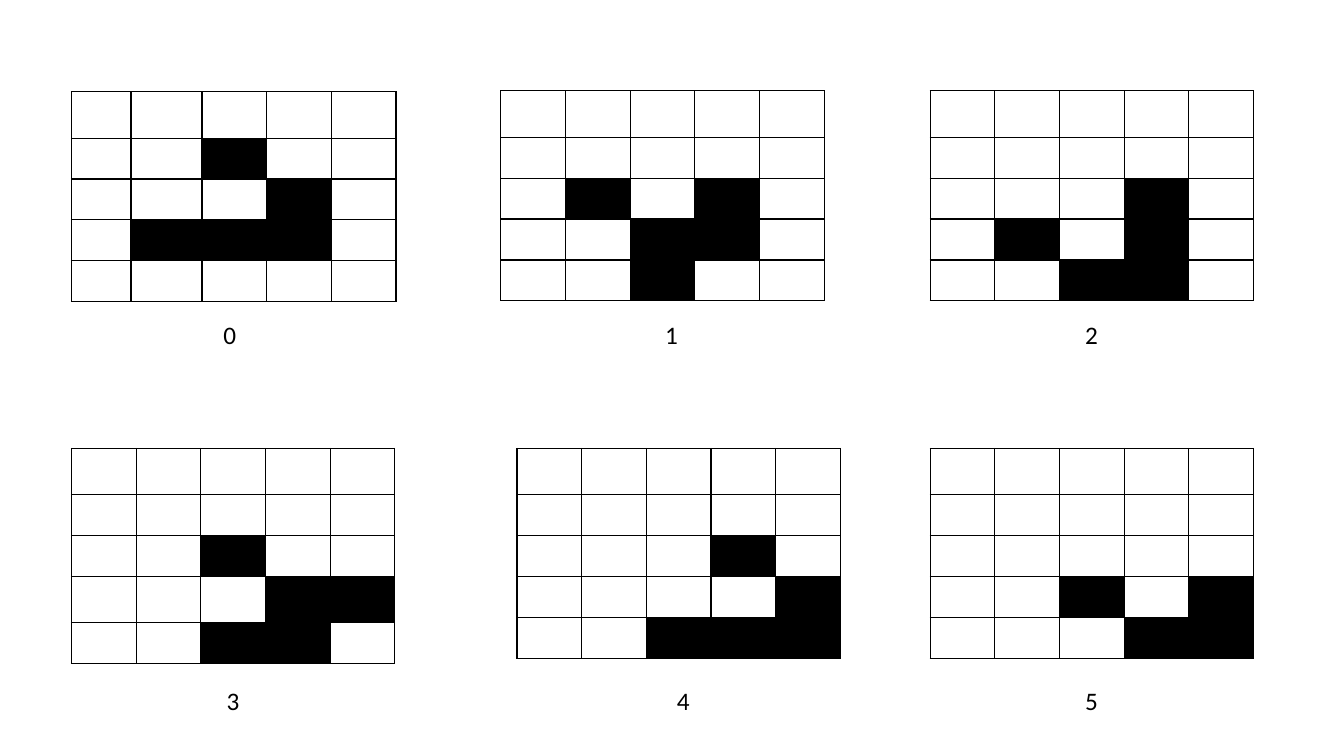
from lxml import etree
from pptx import Presentation
from pptx.dml.color import RGBColor
from pptx.enum import text
from pptx.oxml import ns
from pptx.util import Cm, Pt

BLACK, WHITE = "000000", "FFFFFF"
EVEN_COLUMNS = [1.63] * 5
EVEN_ROWS = [1.17] + [1.03] * 4


def paint(fill, color):
    fill.solid()
    fill.fore_color.rgb = RGBColor.from_string(color)


def add_borders(cell):
    """Give the cell 1 pt black borders; call before filling, as XML order matters."""
    properties = cell._tc.get_or_add_tcPr()
    for side in ("lnL", "lnR", "lnT", "lnB"):
        line = etree.SubElement(properties, ns.qn(f"a:{side}"), w=str(Pt(1)))
        solid = etree.SubElement(line, ns.qn("a:solidFill"))
        etree.SubElement(solid, ns.qn("a:srgbClr"), val=BLACK)


# Each generation: grid left and top, label left and top, column widths,
# row heights (all in cm), and the cells, where # is alive
generations = [
    (1.8, 2.31, 5.38, 7.92, [1.5, 1.79, 1.63, 1.63, 1.63], EVEN_ROWS,
     ".....  ..#..  ...#.  .###.  ....."),
    (12.62, 2.29, 16.51, 7.92, EVEN_COLUMNS, EVEN_ROWS,
     ".....  .....  .#.#.  ..##.  ..#.."),
    (23.44, 2.29, 27.1, 7.92, EVEN_COLUMNS, EVEN_ROWS,
     ".....  .....  ...#.  .#.#.  ..##."),
    (1.8, 11.3, 5.46, 17.15, EVEN_COLUMNS, [1.17, 1.03, 1.03, 1.15, 1.03],
     ".....  .....  ..#..  ...##  ..##."),
    (13.03, 11.3, 16.81, 17.15, EVEN_COLUMNS, EVEN_ROWS,
     ".....  .....  ...#.  ....#  ..###"),
    (23.44, 11.3, 27.1, 17.15, EVEN_COLUMNS, EVEN_ROWS,
     ".....  .....  .....  ..#.#  ...##"),
]

presentation = Presentation()
presentation.slide_width = Cm(33.87)
presentation.slide_height = Cm(19.05)
slide = presentation.slides.add_slide(presentation.slide_layouts[6])

for number, generation in enumerate(generations):
    left, top, label_left, label_top, widths, heights, cells = generation

    table = slide.shapes.add_table(
        len(heights), len(widths), Cm(left), Cm(top),
        Cm(sum(widths)), Cm(sum(heights))).table
    table.first_row = False
    table.horz_banding = False
    for column, width in zip(table.columns, widths):
        column.width = Cm(width)
    for row, height, states in zip(table.rows, heights, cells.split()):
        row.height = Cm(height)
        for cell, state in zip(row.cells, states):
            add_borders(cell)
            paint(cell.fill, BLACK if state == "#" else WHITE)

    label = slide.shapes.add_textbox(
        Cm(label_left), Cm(label_top), Cm(0.84), Cm(1.03))
    frame = label.text_frame
    frame.word_wrap = False
    frame.auto_size = text.MSO_AUTO_SIZE.SHAPE_TO_FIT_TEXT
    frame.text = str(number)
    font = frame.paragraphs[0].runs[0].font
    font.name = "Calibri"
    font.size = Pt(18)
    paint(font.fill, BLACK)

presentation.save("out.pptx")
